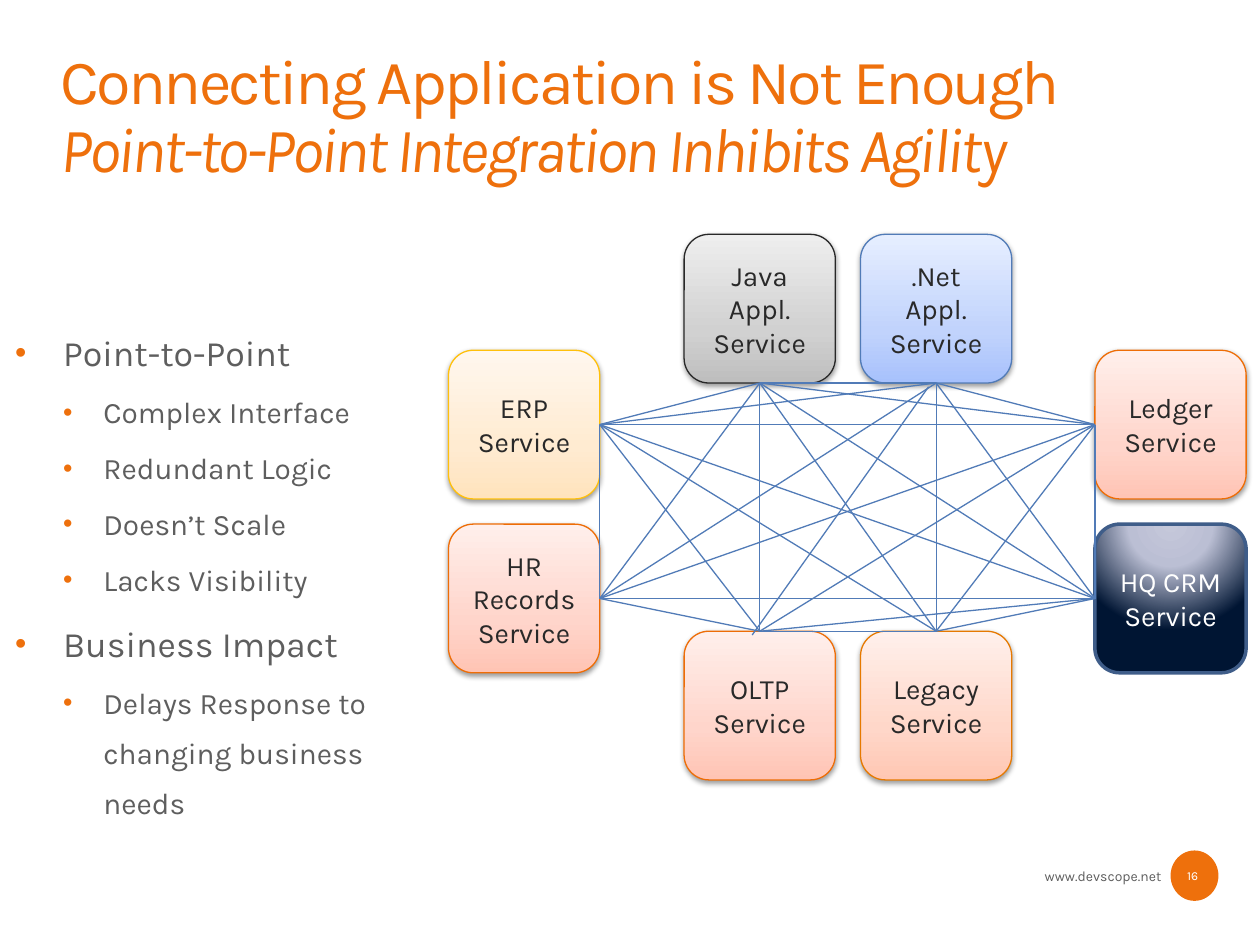
from itertools import combinations

from pptx import Presentation
from pptx.dml.color import RGBColor
from pptx.enum.shapes import MSO_CONNECTOR as Connector, MSO_SHAPE as Shape
from pptx.enum.text import MSO_ANCHOR as Anchor, MSO_AUTO_SIZE as AutoSize, PP_ALIGN as Align
from pptx.oxml import parse_xml
from pptx.oxml.ns import nsdecls, qn
from pptx.util import Inches, Pt

ORANGE = RGBColor(0xEE, 0x70, 0x0C)
GREY = RGBColor(0x5E, 0x5E, 0x5E)
DARK = RGBColor(0x29, 0x29, 0x29)
WHITE = RGBColor(0xFF, 0xFF, 0xFF)
BLUE = RGBColor(0x51, 0x7B, 0xB7)
NAVY = RGBColor(0x3F, 0x5D, 0x89)
RED_EDGE = RGBColor(0xEE, 0x6D, 0x06)
AMBER_EDGE = RGBColor(0xE6, 0x79, 0x00)
YELLOW_EDGE = RGBColor(0xFF, 0xC0, 0x0B)
BLACK_EDGE = RGBColor(0x28, 0x28, 0x28)

RED = ("FFC4B4", "FFD5CB", "FFEFEB")
AMBER = ("FFC7B3", "FFD7C9", "FFF0EB")
YELLOW = ("FFE3BD", "FFEBD1", "FFF7EE")
SILVER = ("BEBEBE", "D1D1D1", "EEEEEE")
SKY = ("A7C1FC", "C1D3FC", "E6EEFF")
NIGHT = ("C5C8DA", "BBBFD4", "001533")

NODE_W, NODE_H = 1.2, 1.18
LEFT, RIGHT = 3.56, 8.69
INNER_LEFT, INNER_RIGHT = 5.43, 6.83
TOP, UPPER, LOWER, BOTTOM = 1.86, 2.78, 4.16, 5.01

# Name: paragraphs, left, top, gradient, edge colour, side where the lines meet
NODES = {
    "records": (["HR Records", "Service"], LEFT, LOWER, RED, RED_EDGE, "right"),
    "erp": (["ERP", "Service"], LEFT, UPPER, YELLOW, YELLOW_EDGE, "right"),
    "java": (["Java Appl.", "Service"], INNER_LEFT, TOP, SILVER, BLACK_EDGE, "bottom"),
    "dotnet": ([".Net Appl.", "Service"], INNER_RIGHT, TOP, SKY, BLUE, "bottom"),
    "oltp": (["OLTP Service"], INNER_LEFT, BOTTOM, RED, RED_EDGE, "top"),
    "legacy": (["Legacy", "Service"], INNER_RIGHT, BOTTOM, AMBER, AMBER_EDGE, "top"),
    "crm": (["HQ CRM", "Service"], RIGHT, LOWER, NIGHT, NAVY, "left"),
    "ledger": (["Ledger", "Service"], RIGHT, UPPER, RED, RED_EDGE, "left"),
}
UNLINKED = {("records", "legacy")}
NUDGED = {("dotnet", "oltp"): (-0.06, 0.03)}
PORTS = {
    "left": (0, NODE_H / 2),
    "right": (NODE_W, NODE_H / 2),
    "top": (NODE_W / 2, 0),
    "bottom": (NODE_W / 2, NODE_H),
}

BULLETS = [
    (0, "Point-to-Point"),
    (1, "Complex Interface"),
    (1, "Redundant Logic"),
    (1, "Doesn’t Scale"),
    (1, "Lacks Visibility"),
    (0, "Business Impact"),
    (1, "Delays Response to changing business needs"),
]
# Level: size, left margin, hanging indent
LEVELS = {0: (20.4, 0.38, 0.38), 1: (17, 0.7, 0.32)}


class SlideBuilder:
    def __init__(self, page, font_name="Karla"):
        self.page = page
        self.font_name = font_name

    def place(self, shape, left, top, width, height):
        position = {"left": left, "top": top, "width": width, "height": height}
        for name, value in position.items():
            setattr(shape, name, Inches(value))

    def style(self, span, size, color, **extra):
        span.font.color.rgb = color
        for name, value in {"name": self.font_name, "size": Pt(size), **extra}.items():
            setattr(span.font, name, value)

    def title(self, lines, *position):
        box = self.page.shapes.title
        self.place(box, *position)
        frame = box.text_frame
        settings = {"margin_left": 0, "margin_right": 0, "margin_top": 0, "margin_bottom": 0,
                    "vertical_anchor": Anchor.BOTTOM, "auto_size": AutoSize.NONE}
        for name, value in settings.items():
            setattr(frame, name, value)
        para = frame.paragraphs[0]
        para.alignment = Align.LEFT
        para.line_spacing = 0.9
        for index, line in enumerate(lines):
            if index:
                para.add_line_break()
            span = para.add_run()
            span.text = line
            self.style(span, 36, ORANGE, italic=index > 0)
            span.font._element.set("spc", "-150")

    def bullets(self, items, *position):
        box = self.page.placeholders[1]
        self.place(box, *position)
        frame = box.text_frame
        frame.auto_size = AutoSize.NONE
        for index, (level, text) in enumerate(items):
            para = frame.add_paragraph() if index else frame.paragraphs[0]
            size, margin, hanging = LEVELS[level]
            para.level = level
            para.line_spacing = 1.4
            para.space_before = Pt(size * 0.2 if index else 0)
            properties = para._p.get_or_add_pPr()
            properties.set("marL", str(Inches(margin)))
            properties.set("indent", str(-Inches(hanging)))
            for xml in (f'<a:buClr {nsdecls("a")}><a:srgbClr val="{ORANGE}"/></a:buClr>',
                        f'<a:buSzPct {nsdecls("a")} val="90000"/>',
                        f'<a:buFont {nsdecls("a")} typeface="Arial"/>',
                        f'<a:buChar {nsdecls("a")} char="•"/>'):
                properties.append(parse_xml(xml))
            span = para.add_run()
            span.text = text
            self.style(span, size, GREY)

    def centred(self, frame, lines, size, color):
        frame.word_wrap = True
        frame.vertical_anchor = Anchor.MIDDLE
        for index, line in enumerate(lines):
            para = frame.add_paragraph() if index else frame.paragraphs[0]
            para.alignment = Align.CENTER
            span = para.add_run()
            span.text = line
            self.style(span, size, color)

    def label(self, text, size, color, *position):
        box = self.page.shapes.add_textbox(*map(Inches, position))
        self.centred(box.text_frame, [text], size, color)

    def disc(self, *position):
        shape = self.page.shapes.add_shape(Shape.OVAL, *map(Inches, position))
        shape.shadow.inherit = False
        shape.fill.solid()
        shape.fill.fore_color.rgb = ORANGE
        shape.line.fill.background()

    def gradient(self, shape, colors, middle, direction):
        """Fill with three stops; direction is the a:lin or a:path element."""
        shape.fill.gradient()
        stops = "".join(f'<a:gs pos="{pos * 1000}"><a:srgbClr val="{color}"/></a:gs>'
                        for pos, color in zip((0, middle, 100), colors))
        properties = shape._element.spPr
        properties.replace(properties.find(qn("a:gradFill")), parse_xml(
            f'<a:gradFill {nsdecls("a")} rotWithShape="1">'
            f"<a:gsLst>{stops}</a:gsLst>{direction}</a:gradFill>"))

    def node(self, lines, left, top, colors, edge):
        shape = self.page.shapes.add_shape(
            Shape.ROUNDED_RECTANGLE, *map(Inches, (left, top, NODE_W, NODE_H)))
        shape.shadow.inherit = False
        shape.line.color.rgb = edge
        glossy = colors is NIGHT
        shape.line.width = Pt(2 if glossy else 0.75)
        if glossy:
            self.gradient(shape, colors, 40, '<a:path path="circle"><a:fillToRect '
                          'l="50000" t="-80000" r="50000" b="180000"/></a:path>')
        else:
            self.gradient(shape, colors, 35, '<a:lin ang="16200000" scaled="0"/>')
            shape._element.spPr.find(qn("a:effectLst")).append(parse_xml(
                f'<a:outerShdw {nsdecls("a")} blurRad="{Pt(3.1)}" dist="{Pt(1.6)}" '
                'dir="5400000" rotWithShape="0"><a:srgbClr val="000000">'
                '<a:alpha val="38000"/></a:srgbClr></a:outerShdw>'))
        self.centred(shape.text_frame, lines, 16, WHITE if glossy else DARK)

    def link(self, start, end):
        line = self.page.shapes.add_connector(
            Connector.STRAIGHT, *map(Inches, (*start, *end)))
        line.line.color.rgb = BLUE
        line.line.width = Pt(0.75)
        line._element.spPr.append(parse_xml(f'<a:effectLst {nsdecls("a")}/>'))


def main():
    deck = Presentation()
    deck.slide_width, deck.slide_height = Inches(10), Inches(7.5)
    builder = SlideBuilder(deck.slides.add_slide(deck.slide_layouts[1]))

    builder.disc(9.29, 6.75, 0.38, 0.4)
    builder.title(["Connecting Application is Not Enough",
                   "Point-to-Point Integration Inhibits Agility"], 0.48, 0.21, 9.15, 1.27)
    builder.label("www.devscope.net", 8, GREY, 7.17, 6.84, 3.17, 0.22)
    builder.label("16", 7, WHITE, 8.25, 6.82, 2.43, 0.26)
    builder.bullets(BULLETS, 0.02, 2.44, 3.43, 4.17)

    ports = {}
    for name, (lines, left, top, colors, edge, side) in NODES.items():
        builder.node(lines, left, top, colors, edge)
        across, down = PORTS[side]
        ports[name] = (left + across, top + down)
    for pair in combinations(NODES, 2):
        if pair not in UNLINKED:
            right, down = NUDGED.get(pair, (0, 0))
            builder.link(*((x + right, y + down) for x, y in map(ports.get, pair)))

    deck.save("out.pptx")


if __name__ == "__main__":
    main()
